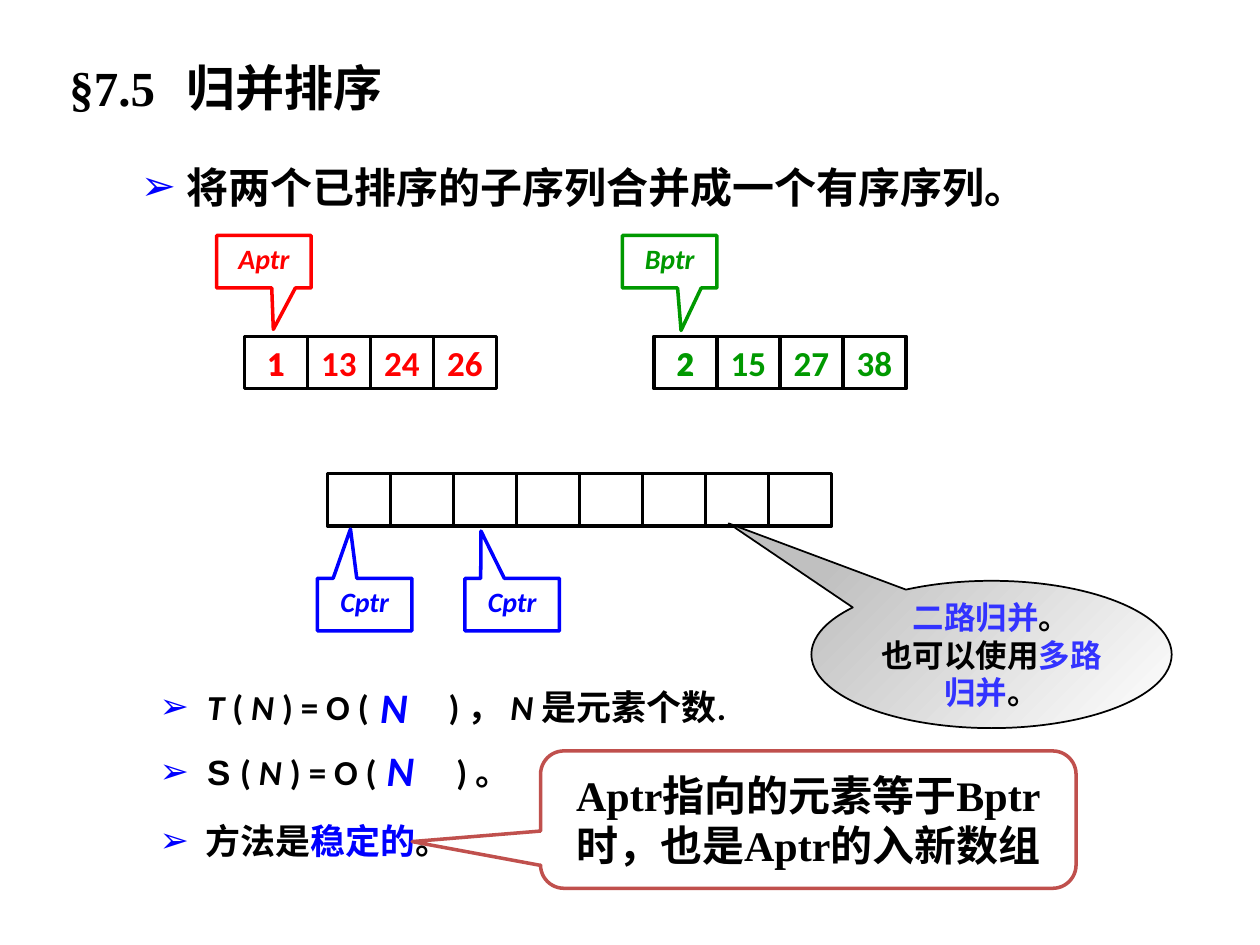
from lxml import etree
from pptx import Presentation
from pptx.dml.color import RGBColor
from pptx.enum import shapes, text
from pptx.oxml.ns import qn
from pptx.util import Pt

BLACK, RED, GREEN, BLUE = "000000", "FF0000", "009900", "0000FF"
CELL_WIDTH, CELL_HEIGHT = 36, 30


def color(value):
    return RGBColor.from_string(value)


def add_run(paragraph, content, size, fill=BLACK, font="Calibri", italic=False, gap=0):
    run = paragraph.add_run()
    run.text = content
    run.font.size = Pt(size)
    run.font.name = font
    run.font.bold = True
    run.font.italic = italic
    run.font.color.rgb = color(fill)
    if gap:
        run._r.get_or_add_rPr().set("spc", str(gap * 100))


def format_frame(frame, wrap=True, middle=False, side=7.2):
    frame.word_wrap = wrap
    frame.vertical_anchor = text.MSO_ANCHOR.MIDDLE if middle else text.MSO_ANCHOR.TOP
    frame.margin_left = frame.margin_right = Pt(side)
    frame.margin_top = frame.margin_bottom = Pt(3.6)


def add_shape(parent, kind, box, line, width=2):
    shape = parent.add_shape(kind, *map(Pt, box))
    shape.shadow.inherit = False
    shape.fill.background()
    shape.line.color.rgb = color(line)
    shape.line.width = Pt(width)
    return shape


def add_title(slide):
    title = slide.shapes.title
    title.left, title.top, title.width, title.height = map(Pt, (31, 29, 237, 41))
    frame = title.text_frame
    frame.auto_size = text.MSO_AUTO_SIZE.NONE
    format_frame(frame, middle=True)
    frame.margin_left, frame.margin_right = Pt(8.64), Pt(11.52)
    paragraph = frame.paragraphs[0]
    paragraph.alignment = text.PP_ALIGN.LEFT
    add_run(paragraph, "§7.5", 28, font="Times New Roman")
    add_run(paragraph, " ", 28, font="Times New Roman", gap=11)
    add_run(paragraph, "归并排序", 28, font="Times New Roman")


def add_label(slide, box, content, size, fill, italic=False, centered=False):
    frame = slide.shapes.add_textbox(*map(Pt, box)).text_frame
    format_frame(frame, wrap=not centered)
    paragraph = frame.paragraphs[0]
    paragraph.alignment = text.PP_ALIGN.CENTER if centered else text.PP_ALIGN.LEFT
    add_run(paragraph, content, size, fill, italic=italic)


def add_bullet(slide, box, indent, size, runs):
    frame = slide.shapes.add_textbox(*map(Pt, box)).text_frame
    format_frame(frame)
    paragraph = frame.paragraphs[0]
    properties = paragraph._p.get_or_add_pPr()
    properties.set("marL", str(Pt(indent)))
    properties.set("indent", str(-Pt(indent)))
    bullet_color = etree.SubElement(properties, qn("a:buClr"))
    etree.SubElement(bullet_color, qn("a:srgbClr"), val=BLUE)
    etree.SubElement(properties, qn("a:buFont"), typeface="Arial")
    etree.SubElement(properties, qn("a:buChar"), char="➢")
    for content, options in runs:
        add_run(paragraph, content, size, **options)


def add_array(slide, left, top, values, fill=BLACK):
    group = slide.shapes.add_group_shape()
    for index, value in enumerate(values):
        box = (left + index * CELL_WIDTH, top, CELL_WIDTH, CELL_HEIGHT)
        cell = add_shape(group.shapes, shapes.MSO_SHAPE.RECTANGLE, box, BLACK)
        if value:
            format_frame(cell.text_frame, wrap=False, middle=True)
            paragraph = cell.text_frame.paragraphs[0]
            paragraph.alignment = text.PP_ALIGN.CENTER
            add_run(paragraph, value, 20, fill)


def add_callout(slide, kind, box, adjustments, line, paragraphs, width=2, **frame_options):
    callout = add_shape(slide.shapes, kind, box, line, width)
    for index, value in enumerate(adjustments):
        callout.adjustments[index] = value
    frame = callout.text_frame
    format_frame(frame, **frame_options)
    for index, runs in enumerate(paragraphs):
        paragraph = frame.add_paragraph() if index else frame.paragraphs[0]
        paragraph.alignment = text.PP_ALIGN.CENTER
        for content, size, options in runs:
            add_run(paragraph, content, size, **options)
    return callout


def add_pointer(slide, left, top, tip, name, fill):
    runs = [(name, 16, {"fill": fill, "italic": True})]
    add_callout(slide, shapes.MSO_SHAPE.RECTANGULAR_CALLOUT, (left, top, 54, 30),
                tip, fill, [runs], side=1.44)


def main():
    presentation = Presentation()
    presentation.slide_width, presentation.slide_height = Pt(720), Pt(540)
    slide = presentation.slides.add_slide(presentation.slide_layouts[5])
    add_title(slide)
    add_bullet(slide, (73.4, 88.5, 556.6, 36), 26, 24,
               [("将两个已排序的子序列合并成一个有序序列。", {})])

    add_array(slide, 139.7, 192.2, ["1", "13", "24", "26"], RED)
    add_array(slide, 373.7, 192.2, ["2", "15", "27", "38"], GREEN)
    add_array(slide, 187.2, 270.7, [""] * 8)

    add_pointer(slide, 123.8, 134.6, (0.1, 1.29), "Aptr", RED)
    add_pointer(slide, 355.7, 134.6, (0.12, 1.31), "Bptr", GREEN)
    add_pointer(slide, 181.4, 330.5, (-0.15, -1.44), "Cptr", BLUE)
    add_pointer(slide, 265.7, 330.5, (-0.33, -1.4), "Cptr", BLUE)

    italic, blank = {"italic": True}, {"gap": 41}
    add_bullet(slide, (84.2, 388, 349.2, 31.7), 27, 20, [
        ("T ", italic), ("( ", {}), ("N ", italic), (") = O (", {}), (" ", blank),
        (") ， ", {}), ("N ", italic), ("是元素个数.", {})])
    add_label(slide, (210.2, 386, 32.4, 36), "N", 24, BLUE, italic=True)
    add_label(slide, (145.4, 193, 23.8, 28.8), "1", 18, RED, centered=True)
    add_label(slide, (379.4, 193, 23.8, 28.8), "2", 18, GREEN, centered=True)
    add_bullet(slide, (84.2, 425.5, 242, 31.7), 27, 20, [
        ("S ", {"font": "Arial"}), ("( ", {}), ("N ", italic), (") = O (", {}),
        (" ", blank), (") 。", {})])
    add_label(slide, (213.8, 422, 32.4, 36), "N", 24, BLUE, italic=True)
    add_bullet(slide, (84.2, 465, 242, 31.7), 26, 20, [
        ("方法是", {"font": "Arial"}), ("稳定的", {"font": "Arial", "fill": BLUE}),
        ("。", {})])

    accent = {"fill": "3333FF"}
    ellipse = add_callout(
        slide, shapes.MSO_SHAPE.OVAL_CALLOUT, (463.7, 331.9, 205.9, 84.2),
        (-0.73, -0.89), BLACK,
        [[("二路归并", 18, accent), ("。", 18, {})],
         [("也可以使用", 18, {}), ("多路归并", 18, accent), ("。", 18, {})]],
        width=1, middle=True)
    ellipse.fill.gradient()
    ellipse.fill.gradient_angle = 315
    for stop, shade in zip(ellipse.fill.gradient_stops, ("C0C0C0", "FFFFFF")):
        stop.color.rgb = color(shade)

    note = add_callout(
        slide, shapes.MSO_SHAPE.ROUNDED_RECTANGULAR_CALLOUT, (308.9, 429.1, 306, 78.5),
        (-0.74, 0.16, 0.17), "C0504D",
        [[("Aptr指向的元素等于Bptr时，也是Aptr的入新数组", 24,
           {"font": "Times New Roman"})]], middle=True)
    note.fill.solid()
    note.fill.fore_color.rgb = color("FFFFFF")
    presentation.save("out.pptx")


if __name__ == "__main__":
    main()
